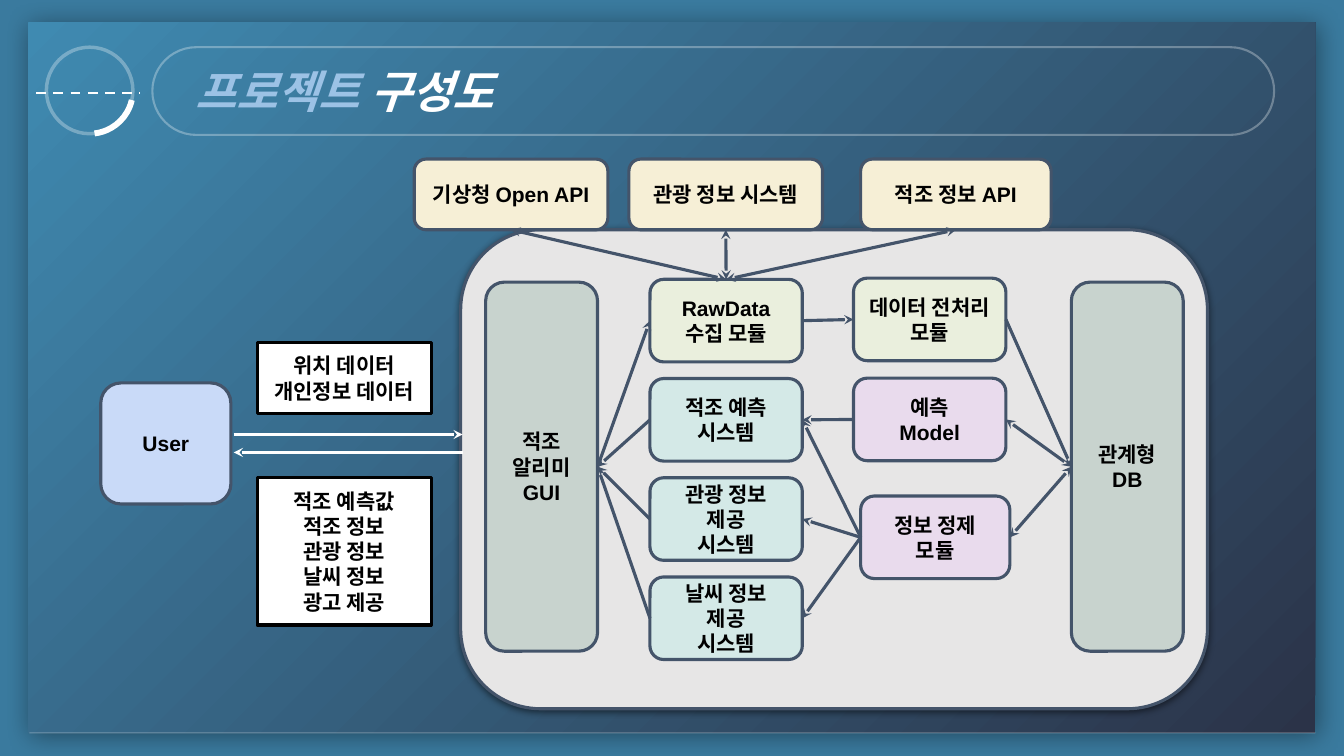
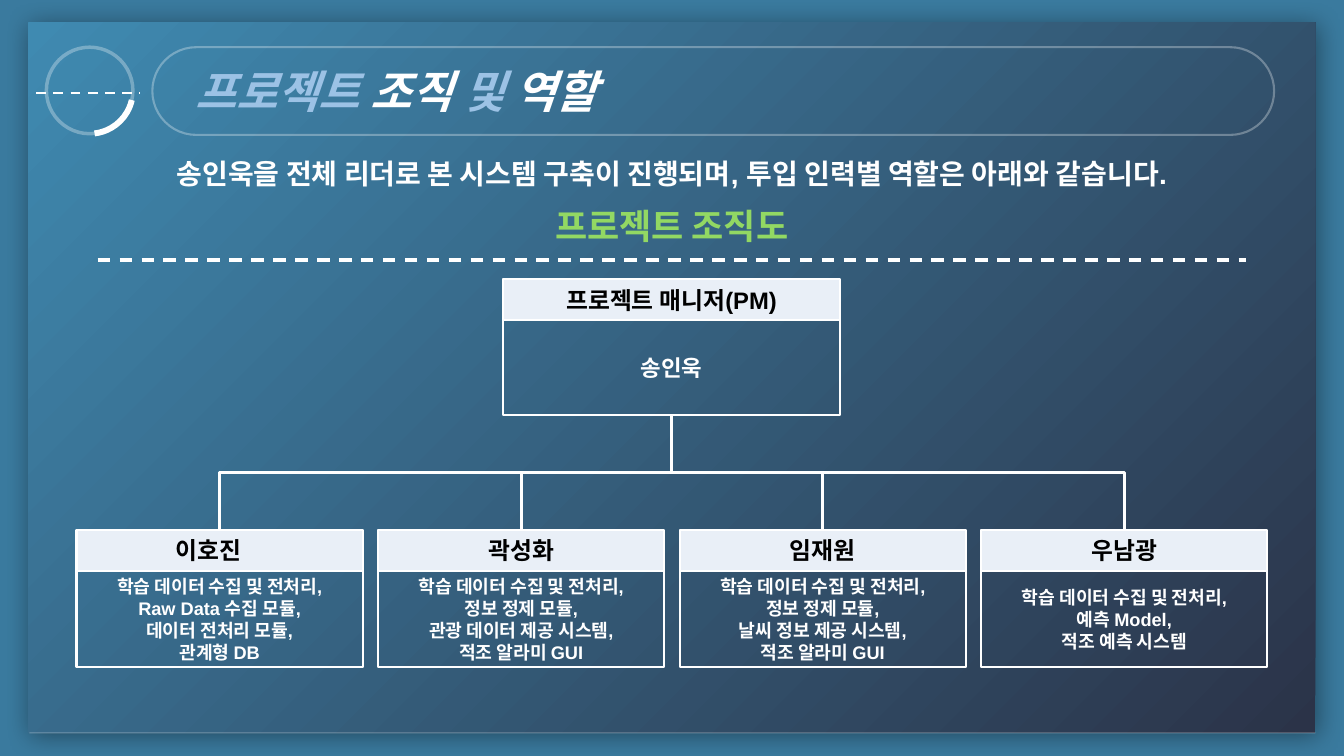
from lxml.etree import SubElement as Sub
from pptx import Presentation
from pptx.dml.color import RGBColor as RGB
from pptx.enum.dml import MSO_LINE as DASH
from pptx.enum.shapes import MSO_CONNECTOR as LINK, MSO_SHAPE as FORM
from pptx.enum.text import MSO_ANCHOR as ANCHOR, PP_ALIGN as ALIGN
from pptx.oxml.ns import qn
from pptx.util import Cm, Pt

# Colours and fonts
WHITE = RGB(0xFF, 0xFF, 0xFF)
BLACK = RGB(0x00, 0x00, 0x00)
BACK = RGB(0x3A, 0x7A, 0x9E)
LIGHT = RGB(0x3F, 0x8A, 0xB1)
DARK = RGB(0x2B, 0x33, 0x48)
SKY = RGB(0x9C, 0xC2, 0xE5)
SLATE = RGB(0x44, 0x54, 0x6A)
GREY = RGB(0xE7, 0xE6, 0xE6)
BLUE = RGB(0xC9, 0xDA, 0xF8)
CREAM = RGB(0xF6, 0xEF, 0xD6)
OLIVE = RGB(0xEA, 0xEF, 0xDD)
SAGE = RGB(0xC8, 0xD3, 0xCE)
TEAL = RGB(0xD4, 0xE9, 0xE7)
LILAC = RGB(0xE9, 0xDB, 0xED)
PALE = RGB(0xE9, 0xEF, 0xF7)
GREEN = RGB(0x92, 0xD8, 0x63)
LATIN, HANGUL = "Arial", "Noto Sans CJK KR"


def box(sld, form, x, y, w, h, fill=None, edge=None, wt=2.25, text="", ink=BLACK,
        size=15, face=LATIN, slant=False, align=ALIGN.CENTER, shade=None):
    """Add a shape, or a text box if form is None; text is a string or a list of runs."""
    area = Cm(x), Cm(y), Cm(w), Cm(h)
    if form is None:
        item = sld.shapes.add_textbox(*area)
    else:
        item = sld.shapes.add_shape(form, *area)
        item.shadow.inherit = False
    if fill is None:
        item.fill.background()
    else:
        item.fill.solid()
        item.fill.fore_color.rgb = fill
    if edge is None:
        item.line.fill.background()
    else:
        item.line.color.rgb = edge
        item.line.width = Pt(wt)
    if shade:
        alpha, blur, dist, turn = shade
        glow = Sub(item._element.spPr.find(qn("a:effectLst")), qn("a:outerShdw"),
                   blurRad=str(Pt(blur)), dist=str(Pt(dist)), dir=str(turn * 60000),
                   algn="ctr", rotWithShape="0")
        tint = Sub(glow, qn("a:srgbClr"), val=str(BLACK))
        Sub(tint, qn("a:alpha"), val=str(alpha * 1000))
    if not text:
        return item
    frame = item.text_frame
    frame.word_wrap = True
    frame.vertical_anchor = ANCHOR.MIDDLE
    frame.margin_left = frame.margin_right = Cm(0.25)
    frame.margin_top = frame.margin_bottom = Cm(0.13)
    rows = [text]
    if isinstance(text, str):
        rows = [[(row, ink)] for row in text.split("\n")]
    for i, row in enumerate(rows):
        para = frame.add_paragraph() if i else frame.paragraphs[0]
        para.alignment = align
        for part, tone in row:
            run = para.add_run()
            run.text = part
            font = run.font
            font.name, font.size, font.bold, font.italic = face, Pt(size), True, slant
            font.color.rgb = tone
            Sub(run._r.rPr, qn("a:ea"), typeface=HANGUL)
    return item


def wire(sld, x1, y1, x2, y2, tone=WHITE, wt=2.25, form=LINK.STRAIGHT, dash=None,
         head=False, tail=False):
    """Add a connector with optional dashes and arrowheads."""
    item = sld.shapes.add_connector(form, Cm(x1), Cm(y1), Cm(x2), Cm(y2))
    item.line.color.rgb = tone
    item.line.width = Pt(wt)
    if dash:
        item.line.dash_style = dash
    for tag, on in (("a:headEnd", head), ("a:tailEnd", tail)):
        if on:
            Sub(item.line._ln, qn(tag), type="stealth")
    Sub(item._element.spPr, qn("a:effectLst"))
    return item


deck = Presentation()
deck.slide_width, deck.slide_height = Cm(33.87), Cm(19.05)

# Shared frame and titles
titles = [
    [("프로젝트 ", SKY), ("구성도", WHITE)],
    [("프로젝트 ", SKY), ("조직 ", WHITE), ("및 ", SKY), ("역할", WHITE)],
]
slides = []
for title in titles:
    sld = deck.slides.add_slide(deck.slide_layouts[6])
    slides.append(sld)
    sld.background.fill.solid()
    sld.background.fill.fore_color.rgb = BACK

    panel = box(sld, FORM.RECTANGLE, 0.71, 0.58, 32.44, 18.47 - 0.0 - 0.58 + 0.58,
                fill=LIGHT, shade=(40, 18, 3, 45))
    panel.height = Cm(17.89)
    panel.fill.gradient()
    for stop, tone in zip(panel.fill.gradient_stops, (LIGHT, DARK)):
        stop.color.rgb = tone
    grad = panel._element.spPr.find(qn("a:gradFill"))
    grad.remove(grad.find(qn("a:lin")))
    way = Sub(grad, qn("a:path"), path="circle")
    Sub(way, qn("a:fillToRect"), r="100000", b="100000")

    rim = box(sld, FORM.ROUNDED_RECTANGLE, 3.84, 1.19, 28.27, 2.21, edge=WHITE, wt=1.5,
              text=title, size=32, face=HANGUL, slant=True, align=ALIGN.LEFT)
    rim.adjustments[0] = 0.5
    rim.text_frame.margin_left = Cm(0.76)
    base = wire(sld, 0.74, 18.47, 33.15, 18.47, wt=0.75)
    ring = box(sld, FORM.OVAL, 1.17, 1.19, 2.18, 2.18, edge=WHITE, wt=2.5)
    for item in (rim, base, ring):
        tint = item.line._ln.find(".//" + qn("a:srgbClr"))
        Sub(tint, qn("a:alpha"), val="30000")
    arc = box(sld, FORM.ARC, 1.17, 1.19, 2.18, 2.18, edge=WHITE, wt=4.25)
    arc.adjustments[0], arc.adjustments[1] = 7.7, 50.05
    wire(sld, 0.91, 2.34, 3.53, 2.34, wt=1.75, dash=DASH.DASH)

chart, team = slides

# Slide 1: system boxes
box(chart, FORM.ROUNDED_RECTANGLE, 11.61, 5.79, 18.82, 12.07, GREY, SLATE,
    shade=(50, 4.5, 1.5, 90))
parts = [
    ("user", 2.54, 9.65, 3.28, 3.05, BLUE, "User"),
    ("sky", 10.44, 4.01, 4.88, 1.78, CREAM, "기상청 Open API"),
    ("tour", 15.85, 4.01, 4.88, 1.78, CREAM, "관광 정보 시스템"),
    ("tide", 21.69, 4.01, 4.8, 1.78, CREAM, "적조 정보 API"),
    ("gui", 12.24, 7.11, 2.82, 9.3, SAGE, "적조 알리미\nGUI"),
    ("db", 27, 7.11, 2.82, 9.3, SAGE, "관계형 DB"),
    ("prep", 21.51, 7.01, 3.84, 2.08, OLIVE, "데이터 전처리 모듈"),
    ("model", 21.51, 9.53, 3.84, 2.08, LILAC, "예측\nModel"),
    ("clean", 21.69, 12.5, 3.76, 2.08, LILAC, "정보 정제\n모듈"),
]
stack = [
    ("raw", OLIVE, "RawData\n수집 모듈"),
    ("guess", TEAL, "적조 예측 시스템"),
    ("trip", TEAL, "관광 정보 제공\n시스템"),
    ("rain", TEAL, "날씨 정보 제공\n시스템"),
]
for i, (key, fill, text) in enumerate(stack):
    parts.append((key, 16.38, 7.04 + 2.5 * i, 3.84, 2.08, fill, text))
node = {}
for key, x, y, w, h, fill, text in parts:
    node[key] = box(chart, FORM.ROUNDED_RECTANGLE, x, y, w, h, fill, SLATE, text=text)

# Slide 1: data notes
for y, h, text in (
    (8.64, 1.78, "위치 데이터\n개인정보 데이터"),
    (12.04, 3.71, "적조 예측값\n적조 정보\n관광 정보\n날씨 정보\n광고 제공"),
):
    box(chart, FORM.RECTANGLE, 6.48, y, 4.39, h, WHITE, BLACK, text=text)

# Slide 1: arrows between box sides
TOP, LEFT, BOTTOM, RIGHT = range(4)
for start, out, end, into, both in (
    ("gui", RIGHT, "raw", LEFT, False),
    ("raw", TOP, "sky", BOTTOM, True),
    ("raw", TOP, "tour", BOTTOM, True),
    ("raw", TOP, "tide", BOTTOM, True),
    ("raw", RIGHT, "prep", LEFT, False),
    ("prep", RIGHT, "db", LEFT, False),
    ("db", LEFT, "model", RIGHT, True),
    ("db", LEFT, "clean", RIGHT, True),
    ("model", LEFT, "guess", RIGHT, False),
    ("clean", LEFT, "guess", RIGHT, False),
    ("clean", LEFT, "trip", RIGHT, False),
    ("clean", LEFT, "rain", RIGHT, False),
    ("guess", LEFT, "gui", RIGHT, False),
    ("trip", LEFT, "gui", RIGHT, False),
    ("rain", LEFT, "gui", RIGHT, False),
):
    link = wire(chart, 0, 0, 1, 1, SLATE, head=both, tail=True)
    link.begin_connect(node[start], out)
    link.end_connect(node[end], into)
for x1, x2, y in ((5.89, 11.66, 10.95), (11.66, 5.89, 11.4)):
    wire(chart, x1, y, x2, y, tail=True)

# Slide 2: lead text
box(team, None, 1.68, 3.68, 30.5, 1.35, ink=WHITE, size=20,
    text="송인욱을 전체 리더로 본 시스템 구축이 진행되며, 투입 인력별 역할은 아래와 같습니다.")
box(team, None, 13.03, 5.18, 7.8, 1.02, text="프로젝트 조직도", ink=GREEN, size=25)
wire(team, 2.46, 6.55, 31.39, 6.55, dash=DASH.DASH)

# Slide 2: people and their tasks
people = [
    ("이호진", "학습 데이터 수집 및 전처리,\nRaw Data 수집 모듈,\n데이터 전처리 모듈,\n관계형 DB"),
    ("곽성화", "학습 데이터 수집 및 전처리,\n정보 정제 모듈,\n관광 데이터 제공 시스템,\n적조 알라미 GUI"),
    ("임재원", "학습 데이터 수집 및 전처리,\n정보 정제 모듈,\n날씨 정보 제공 시스템,\n적조 알라미 GUI"),
    ("우남광", "학습 데이터 수집 및 전처리,\n예측 Model,\n적조 예측 시스템"),
]
cards = [(12.67, 7.04, 8.51, 2.41, "프로젝트 매니저(PM)", "송인욱", 16)]
for i, (name, tasks) in enumerate(people):
    cards.append((1.93 + 7.6 * i, 13.36, 7.21, 2.44, name, tasks, 13))
heads = []
for x, y, w, h, name, tasks, size in cards:
    box(team, FORM.RECTANGLE, x, y + 1.02, w, h, None, WHITE, 1.5, tasks, WHITE, size)
    heads.append(box(team, FORM.RECTANGLE, x, y, w, 1.02, PALE, WHITE, 1.5, name, size=17))
heads[1].text_frame.margin_right = Cm(0.83)

# Slide 2: elbows from the manager, each turned a quarter to run downwards
x1, y1, y2 = 16.93, 10.47, 13.36
for x, _, w, *_ in cards[1:]:
    x2 = x + w / 2
    midx, midy = (x1 + x2) / 2, (y1 + y2) / 2
    halfw, halfh = (y2 - y1) / 2, abs(x2 - x1) / 2
    bend = wire(team, midx - halfw, midy - halfh, midx + halfw, midy + halfh,
                form=LINK.ELBOW)
    turn = bend._element.spPr.find(qn("a:xfrm"))
    turn.set("rot", "16200000" if x2 > x1 else "5400000")
    if x2 > x1:
        turn.set("flipH", "1")

deck.save("out.pptx")
